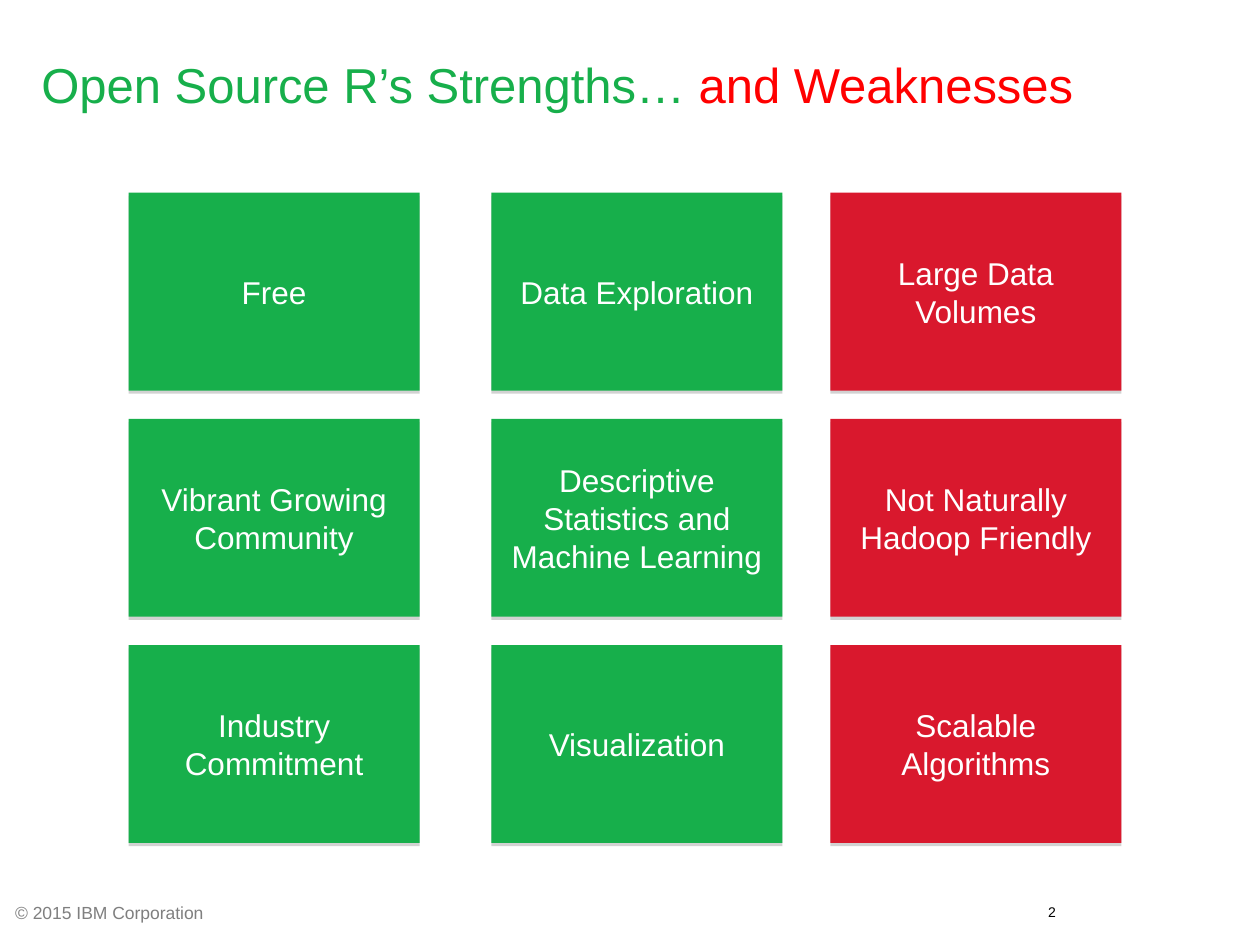
from dataclasses import dataclass

from lxml.etree import SubElement
from pptx import Presentation
from pptx.dml.color import RGBColor
from pptx.enum.shapes import MSO_SHAPE as Shape
from pptx.enum.text import MSO_ANCHOR as Anchor, PP_ALIGN as Align
from pptx.oxml.ns import qn
from pptx.util import Inches, Pt


@dataclass(frozen=True)
class Theme:
    font: str = "Arial"
    strength: str = "17AF4B"
    weakness: str = "D9182D"
    title_weakness: str = "FF0000"
    tile_text: str = "FFFFFF"
    shadow: str = "808080"
    footer: str = "7F7F7F"
    number: str = "000000"
    title_size: int = 28
    tile_size: int = 18
    footer_size: int = 10
    number_size: int = 8


@dataclass(frozen=True)
class Column:
    left: float
    fill: str
    labels: tuple[str, ...]


THEME = Theme()
TILE_WIDTH, TILE_HEIGHT = 2.31, 1.57
FIRST_TOP, LAST_TOP = 1.53, 5.12

COLUMNS = (
    Column(1.02, THEME.strength,
           ("Free", "Vibrant Growing Community", "Industry Commitment")),
    Column(3.9, THEME.strength,
           ("Data Exploration", "Descriptive Statistics and Machine Learning",
            "Visualization")),
    Column(6.59, THEME.weakness,
           ("Large Data Volumes", "Not Naturally Hadoop Friendly",
            "Scalable\nAlgorithms")),
)


def write(frame, *spans: tuple[str, str], size: int, align=Align.LEFT,
          anchor=Anchor.TOP, side: float = 0.1, spacing: float = 1.0) -> None:
    """Fill a text frame with (text, colour) spans; a newline starts a paragraph."""
    frame.word_wrap = True
    frame.vertical_anchor = anchor
    frame.margin_left = frame.margin_right = Inches(side)
    frame.margin_top = frame.margin_bottom = Inches(0.05)
    para = frame.paragraphs[0]
    for text, colour in spans:
        for index, line in enumerate(text.split("\n")):
            if index:
                para = frame.add_paragraph()
            para.alignment = align
            para.line_spacing = spacing
            span = para.add_run()
            span.text = line
            span.font.name = THEME.font
            span.font.size = Pt(size)
            span.font.color.rgb = RGBColor.from_string(colour)


def add_text(page, left: float, top: float, width: float, height: float,
             *spans: tuple[str, str], **style) -> None:
    box = page.shapes.add_textbox(Inches(left), Inches(top),
                                  Inches(width), Inches(height))
    write(box.text_frame, *spans, **style)


def add_shadow(shape) -> None:
    """Give the shape a hard shadow just below its lower edge."""
    shape.shadow.inherit = False
    effects = shape._element.spPr.find(qn("a:effectLst"))
    shadow = SubElement(effects, qn("a:outerShdw"), blurRad="0",
                        dist=str(Pt(1.8)), dir="5400000", rotWithShape="0")
    colour = SubElement(shadow, qn("a:srgbClr"), val=THEME.shadow)
    SubElement(colour, qn("a:alpha"), val="35000")


def add_tile(page, left: float, top: float, fill: str, label: str) -> None:
    tile = page.shapes.add_shape(Shape.RECTANGLE, Inches(left), Inches(top),
                                 Inches(TILE_WIDTH), Inches(TILE_HEIGHT))
    tile.fill.solid()
    tile.fill.fore_color.rgb = RGBColor.from_string(fill)
    tile.line.fill.background()
    add_shadow(tile)
    write(tile.text_frame, (label, THEME.tile_text), size=THEME.tile_size,
          align=Align.CENTER, anchor=Anchor.MIDDLE)


def main() -> None:
    deck = Presentation()
    deck.slide_width, deck.slide_height = Inches(10), Inches(7.5)
    page = deck.slides.add_slide(deck.slide_layouts[6])

    # Footer and title
    add_text(page, 0.12, 7.11, 2.49, 0.27,
             ("© 2015 IBM Corporation", THEME.footer),
             size=THEME.footer_size, side=0)
    add_text(page, 0.23, 0.11, 9.61, 0.84,
             ("Open Source R’s Strengths… ", THEME.strength),
             ("and Weaknesses", THEME.title_weakness),
             size=THEME.title_size, anchor=Anchor.BOTTOM, spacing=0.85)
    add_text(page, 8.02, 7.12, 0.46, 0.28, ("2", THEME.number),
             size=THEME.number_size, align=Align.RIGHT)

    # Tiles, row by row
    rows = list(zip(*(column.labels for column in COLUMNS)))
    pitch = (LAST_TOP - FIRST_TOP) / (len(rows) - 1)
    for index, labels in enumerate(rows):
        for column, label in zip(COLUMNS, labels):
            add_tile(page, column.left, FIRST_TOP + index * pitch,
                     column.fill, label)

    deck.save("out.pptx")


if __name__ == "__main__":
    main()
